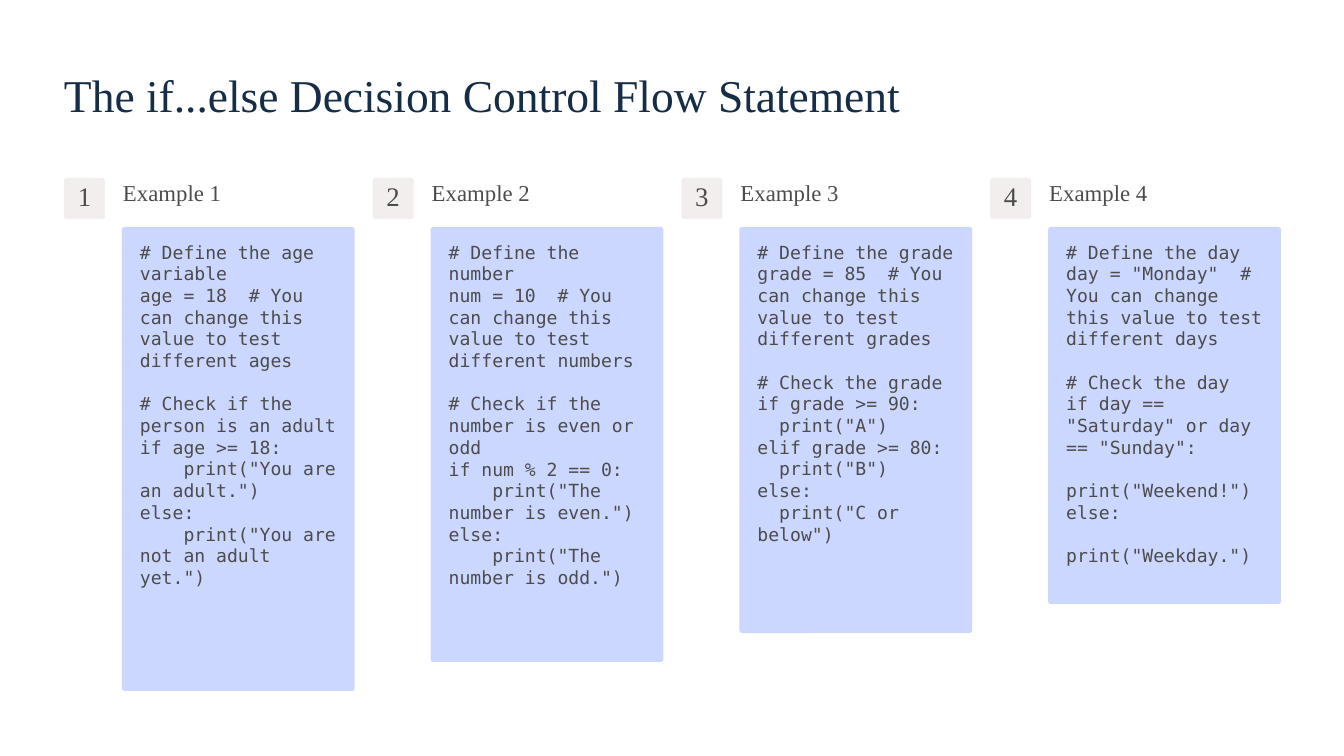
import pptx
import pptx.dml.color
import pptx.enum.shapes
import pptx.enum.text
import pptx.util

EMU_PER_PX = 914400 / 84
SLIDE_WIDTH, SLIDE_HEIGHT = 1344, 756

NAVY = pptx.dml.color.RGBColor(0x15, 0x2D, 0x47)
GREY = pptx.dml.color.RGBColor(0x4C, 0x4C, 0x4D)
BADGE_FILL = pptx.dml.color.RGBColor(0xF2, 0xEE, 0xEE)
CARD_FILL = pptx.dml.color.RGBColor(0xCC, 0xD7, 0xFF)

SERIF = "Times New Roman"
MONO = "DejaVu Sans Mono"
LEFT = pptx.enum.text.PP_ALIGN.LEFT
CENTER = pptx.enum.text.PP_ALIGN.CENTER

CONTENT_LEFT, CONTENT_TOP, CONTENT_WIDTH = 64, 178, 1217
COLUMN_GAP = 18
CARD_ROW = 29

# Each example: card height in rows, then its blocks of code.
EXAMPLES = [
    (16, [
        '# Define the age variable\n'
        'age = 18  # You can change this value to test different ages',
        '# Check if the person is an adult\n'
        'if age >= 18:\n'
        '    print("You are an adult.")\n'
        'else:\n'
        '    print("You are not an adult yet.")',
    ]),
    (15, [
        '# Define the number\n'
        'num = 10  # You can change this value to test different numbers',
        '# Check if the number is even or odd\n'
        'if num % 2 == 0:\n'
        '    print("The number is even.")\n'
        'else:\n'
        '    print("The number is odd.")',
    ]),
    (14, [
        '# Define the grade\n'
        'grade = 85  # You can change this value to test different grades',
        '# Check the grade\n'
        'if grade >= 90:\n'
        '  print("A")\n'
        'elif grade >= 80:\n'
        '  print("B")\n'
        'else:\n'
        '  print("C or below")',
    ]),
    (13, [
        '# Define the day\n'
        'day = "Monday"  # You can change this value to test different days',
        '# Check the day\n'
        'if day == "Saturday" or day == "Sunday":\n'
        '  print("Weekend!")\n'
        'else:\n'
        '  print("Weekday.")',
    ]),
]


def px(length):
    return pptx.util.Emu(round(length * EMU_PER_PX))


def box(left, top, width, height):
    return px(left), px(top), px(width), px(height)


def write_text(shape, blocks, *, size, line, font=SERIF, color=GREY,
               align=LEFT, wrap=True):
    """Fill a shape with one paragraph per block, one line apart."""
    frame = shape.text_frame
    frame.margin_left = frame.margin_top = 0
    frame.margin_right = frame.margin_bottom = 0
    frame.word_wrap = wrap
    frame.auto_size = pptx.enum.text.MSO_AUTO_SIZE.NONE
    frame.vertical_anchor = pptx.enum.text.MSO_ANCHOR.TOP
    for index, block in enumerate(blocks):
        paragraph = frame.add_paragraph() if index else frame.paragraphs[0]
        paragraph.text = block
        paragraph.alignment = align
        paragraph.line_spacing = pptx.util.Pt(line)
        paragraph.space_before = pptx.util.Pt(line if index else 0)
        for run in paragraph.runs:
            run.font.name = font
            run.font.size = pptx.util.Pt(size)
            run.font.color.rgb = color


def add_text(slide, bounds, blocks, **text_format):
    write_text(slide.shapes.add_textbox(*box(*bounds)), blocks, **text_format)


def add_panel(slide, bounds, fill, rounding):
    panel = slide.shapes.add_shape(
        pptx.enum.shapes.MSO_SHAPE.ROUNDED_RECTANGLE, *box(*bounds))
    panel.adjustments[0] = rounding
    panel.shadow.inherit = False
    panel.fill.solid()
    panel.fill.fore_color.rgb = fill
    panel.line.fill.background()


def add_title(slide, left, top, width, height):
    title = slide.shapes.title
    title.left, title.top, title.width, title.height = box(
        left, top, width, height)
    write_text(title, ["The if...else Decision Control Flow Statement"],
               size=39, line=48.5, color=NAVY, wrap=False)


def add_example(slide, left, top, width, number, rows, code):
    badge = 41
    add_panel(slide, (left, top, badge, badge), BADGE_FILL, 0.067)
    add_text(slide, (left, top + 7, badge, 28), [str(number)],
             size=23, line=23, align=CENTER)
    add_text(slide, (left + 59, top, width - 63, 29), [f"Example {number}"],
             size=19.5, line=24, wrap=False)

    card_left, card_top = left + 58, top + 49
    card_width, card_height = width - 58, rows * CARD_ROW
    add_panel(slide, (card_left, card_top, card_width, card_height),
              CARD_FILL, 0.012)
    add_text(slide, (card_left + 18, card_top + 14,
                     card_width - 36, card_height - 28),
             code, size=15.5, line=18.6, font=MONO)


def main():
    presentation = pptx.Presentation()
    presentation.slide_width = px(SLIDE_WIDTH)
    presentation.slide_height = px(SLIDE_HEIGHT)
    slide = presentation.slides.add_slide(presentation.slide_layouts[5])

    add_title(slide, CONTENT_LEFT, 65, 848, 57)
    gaps = COLUMN_GAP * (len(EXAMPLES) - 1)
    column_width = (CONTENT_WIDTH - gaps) / len(EXAMPLES)
    for index, (rows, code) in enumerate(EXAMPLES):
        left = CONTENT_LEFT + index * (column_width + COLUMN_GAP)
        add_example(slide, left, CONTENT_TOP, column_width,
                    index + 1, rows, code)

    presentation.save("out.pptx")


if __name__ == "__main__":
    main()
